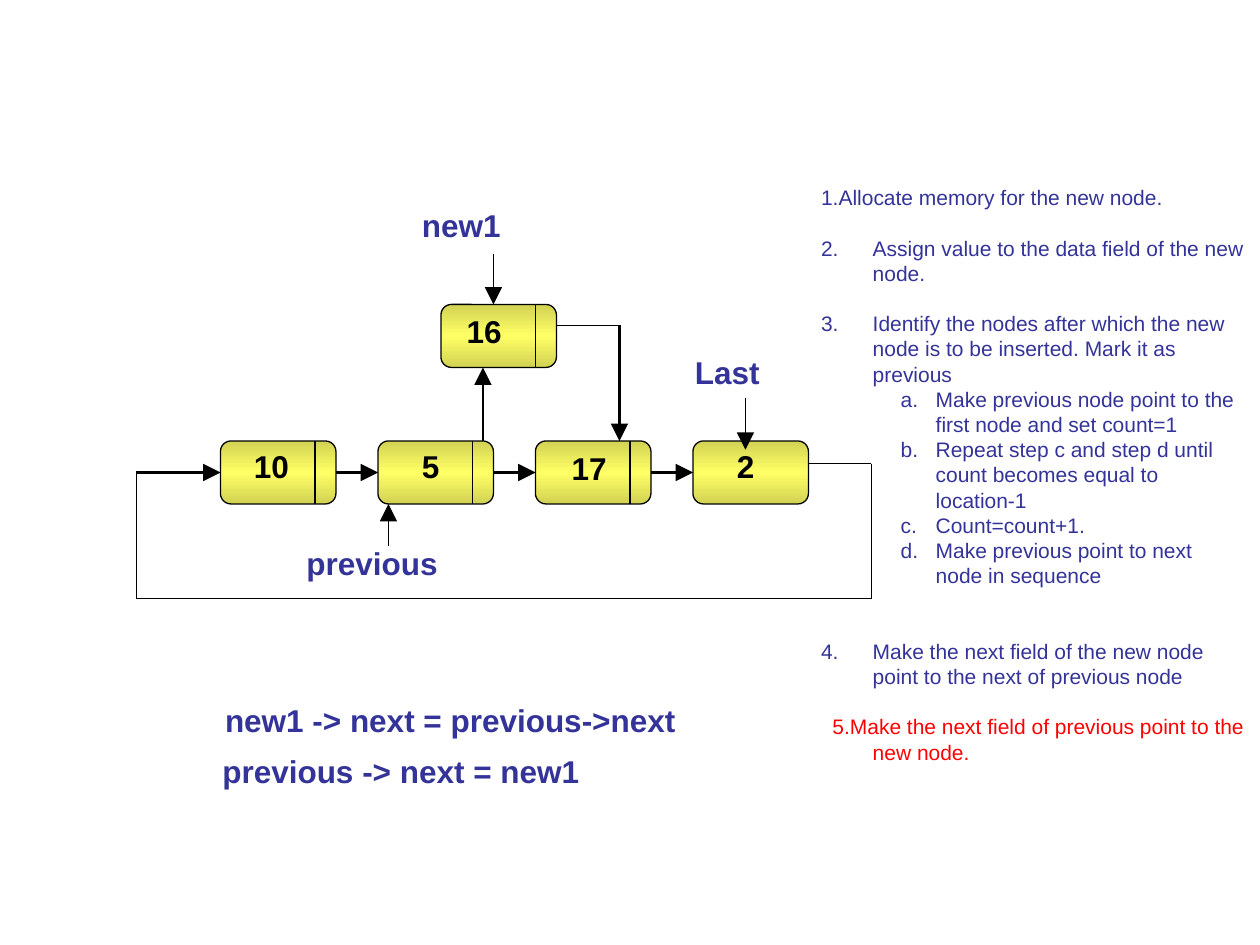
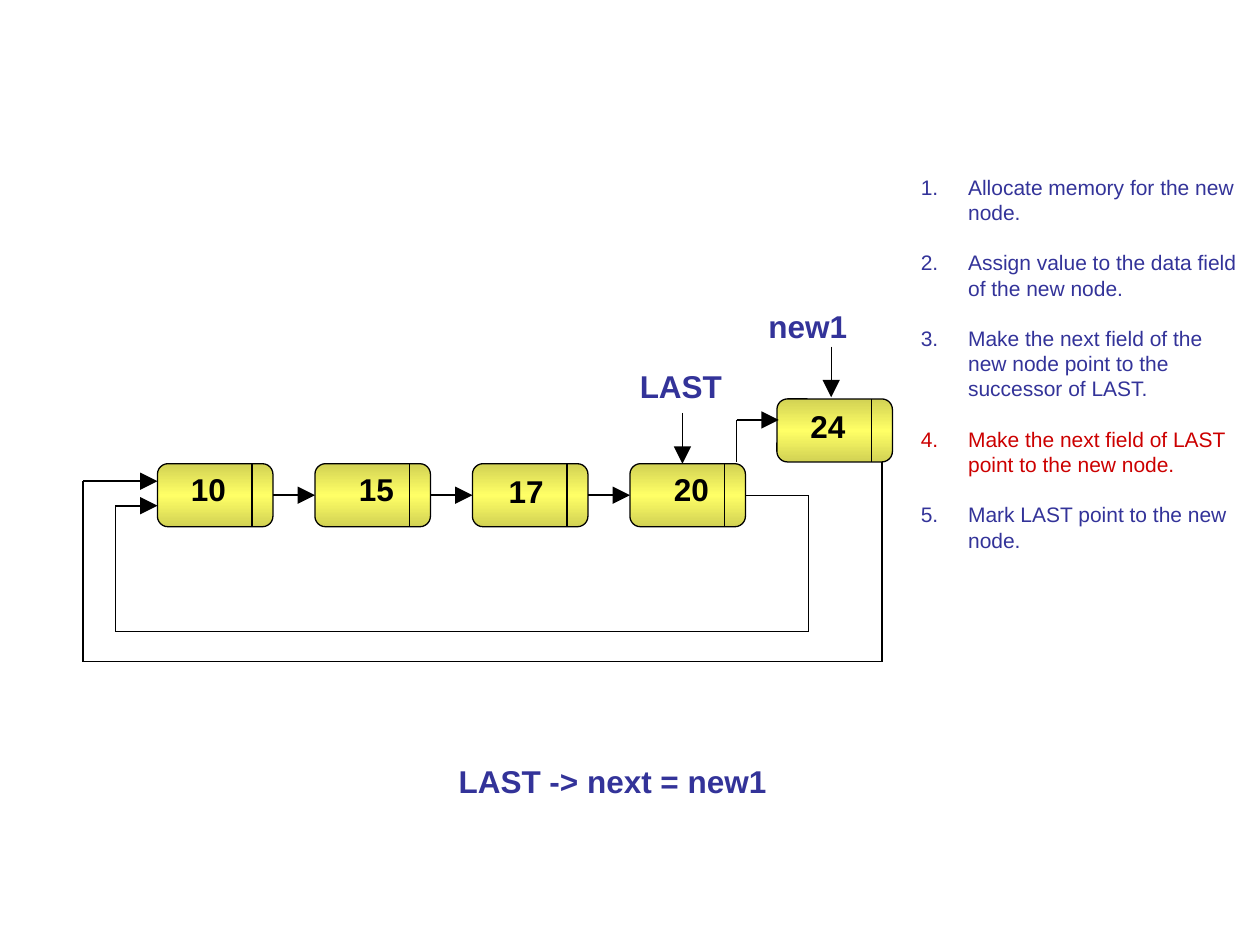
from copy import deepcopy
from dataclasses import dataclass
from itertools import pairwise

from lxml.etree import SubElement
from pptx import Presentation
from pptx.dml.color import RGBColor
from pptx.enum.shapes import MSO_CONNECTOR, MSO_SHAPE
from pptx.enum.text import MSO_AUTO_SIZE
from pptx.oxml.ns import qn
from pptx.slide import Slide
from pptx.text.text import _Paragraph as Paragraph
from pptx.util import Pt

COLORS = {
    "ink": "000000",
    "text": "333399",
    "red": "FF0000",
    "dark red": "CC0000",
    "node edge": "D2D254",
    "node middle": "FFFF66",
}
FONT = "Arial"
LABEL_SIZE, STEP_SIZE = 18, 12
LINE_FACTOR = 1.2
NODE_WIDTH, NODE_HEIGHT, NODE_PITCH = 66, 36, 90
DIVIDER_OFFSET = 54
VALUE_WIDTH = 40
LABEL_HEIGHT = 28.8
THIN, MEDIUM, BOLD = 0.75, 1, 1.25


@dataclass(frozen=True)
class Node:
    value: str
    value_dx: float
    value_dy: float = 0
    divided: bool = True


@dataclass(frozen=True)
class Label:
    text: str
    left: float
    top: float
    width: float
    color: str = "text"


@dataclass(frozen=True)
class Wire:
    points: tuple[tuple[float, float], ...]
    weight: float = THIN
    arrow: bool = False


@dataclass(frozen=True)
class Step:
    text: str
    lines_before: int = 1
    color: str = "text"
    margin: float = 29.5
    hanging: float = 29.5
    right_margin: float = 0
    level: int = 0
    numbered: bool = False


def substep(text: str) -> Step:
    return Step(text, lines_before=0, margin=65.5, hanging=20, right_margin=5, level=1)


def numbered(text: str, color: str = "text") -> Step:
    return Step(text, color=color, margin=27, hanging=27, numbered=True)


def rgb(name: str) -> RGBColor:
    return RGBColor.from_string(COLORS[name])


def write(paragraph: Paragraph, text: str, size: float, color: str, bold: bool = False) -> None:
    paragraph.line_spacing = Pt(size * LINE_FACTOR)
    run = paragraph.add_run()
    run.text = text
    run.font.name = FONT
    run.font.size = Pt(size)
    run.font.bold = bold
    run.font.color.rgb = rgb(color)


def draw_label(slide: Slide, label: Label) -> None:
    box = slide.shapes.add_textbox(
        Pt(label.left), Pt(label.top), Pt(label.width), Pt(LABEL_HEIGHT)
    )
    frame = box.text_frame
    frame.word_wrap = True
    frame.auto_size = MSO_AUTO_SIZE.NONE
    write(frame.paragraphs[0], label.text, LABEL_SIZE, label.color, bold=True)


def draw_wire(slide: Slide, wire: Wire) -> None:
    """Join the points with straight segments; an arrowhead goes on the last."""
    for start, end in pairwise(wire.points):
        segment = slide.shapes.add_connector(
            MSO_CONNECTOR.STRAIGHT, *(Pt(length) for length in (*start, *end))
        )
        segment.line.color.rgb = rgb("ink")
        segment.line.width = Pt(wire.weight)
        properties = segment._element.spPr
        if wire.arrow and end == wire.points[-1]:
            outline = properties.find(qn("a:ln"))
            SubElement(outline, qn("a:tailEnd"), type="triangle", w="lg", len="lg")
        SubElement(properties, qn("a:effectLst"))


def draw_node(slide: Slide, node: Node, left: float, top: float) -> None:
    body = slide.shapes.add_shape(
        MSO_SHAPE.ROUNDED_RECTANGLE, Pt(left), Pt(top), Pt(NODE_WIDTH), Pt(NODE_HEIGHT)
    )
    body.shadow.inherit = False
    body.line.color.rgb = rgb("ink")
    body.line.width = Pt(THIN)
    body.fill.gradient()
    body.fill.gradient_angle = 90
    stops = body._element.spPr.find(qn("a:gradFill")).find(qn("a:gsLst"))
    stops.insert(1, deepcopy(stops[0]))
    shades = ((0, "node edge"), (0.5, "node middle"), (1, "node edge"))
    for stop, (position, color) in zip(body.fill.gradient_stops, shades):
        stop.position = position
        stop.color.rgb = rgb(color)
    if node.divided:
        divider = left + DIVIDER_OFFSET
        draw_wire(slide, Wire(((divider, top), (divider, top + NODE_HEIGHT))))
    draw_label(
        slide,
        Label(node.value, left + node.value_dx, top + node.value_dy, VALUE_WIDTH, "ink"),
    )


def draw_chain(slide: Slide, nodes: tuple[Node, ...], left: float, top: float) -> None:
    """Draw a row of nodes, each pointing to the next."""
    middle = top + NODE_HEIGHT / 2
    for index, node in enumerate(nodes):
        x = left + index * NODE_PITCH
        draw_node(slide, node, x, top)
        if index:
            gap_start = x - NODE_PITCH + NODE_WIDTH
            draw_wire(slide, Wire(((gap_start, middle), (x, middle)), BOLD, arrow=True))


def fill_steps(
    slide: Slide, steps: tuple[Step, ...], left: float, top: float, width: float, height: float
) -> None:
    body = slide.placeholders[1]
    body.left, body.top, body.width, body.height = (
        Pt(length) for length in (left, top, width, height)
    )
    frame = body.text_frame
    frame.word_wrap = True
    frame.auto_size = MSO_AUTO_SIZE.NONE
    for index, step in enumerate(steps):
        paragraph = frame.add_paragraph() if index else frame.paragraphs[0]
        paragraph.level = step.level
        lines_before = step.lines_before if index else 0
        paragraph.space_before = Pt(lines_before * STEP_SIZE * LINE_FACTOR)
        paragraph.space_after = Pt(0)
        properties = paragraph._p.get_or_add_pPr()
        properties.set("marL", str(Pt(step.margin)))
        properties.set("marR", str(Pt(step.right_margin)))
        properties.set("indent", str(-Pt(step.hanging)))
        if step.numbered:
            bullet_color = SubElement(properties, qn("a:buClr"))
            SubElement(bullet_color, qn("a:srgbClr"), val=COLORS[step.color])
            SubElement(properties, qn("a:buFont"), typeface=FONT)
            SubElement(properties, qn("a:buAutoNum"), type="arabicPeriod")
        else:
            SubElement(properties, qn("a:buNone"))
        write(paragraph, step.text, STEP_SIZE, step.color)


def add_list_slide(deck: Presentation) -> Slide:
    """Add a slide that keeps only the body placeholder of its layout."""
    slide = deck.slides.add_slide(deck.slide_layouts[1])
    title = slide.shapes.title._element
    title.getparent().remove(title)
    return slide


def draw_parts(slide: Slide, wires: tuple[Wire, ...], labels: tuple[Label, ...]) -> None:
    for wire in wires:
        draw_wire(slide, wire)
    for label in labels:
        draw_label(slide, label)


def build_insert_between(deck: Presentation) -> None:
    slide = add_list_slide(deck)
    chain = (
        Node("10", 12),
        Node("5", 18),
        Node("17", 13.5, 1),
        Node("2", 18, divided=False),
    )
    draw_chain(slide, chain, 126, 252)
    draw_node(slide, Node("16", 7.5, 1), 252, 174)
    wires = (
        Wire(((282, 145), (282, 174)), arrow=True),
        Wire(((318, 186), (354, 186)), MEDIUM),
        Wire(((354, 186), (354, 252)), BOLD, arrow=True),
        Wire(((276, 252), (276, 210)), BOLD, arrow=True),
        Wire(((222, 312), (222, 288)), arrow=True),
        Wire(((426, 227.5), (426, 257)), arrow=True),
        Wire(((462, 265), (498, 265), (498, 342), (78, 342), (78, 270))),
        Wire(((78, 270), (126, 270)), BOLD, arrow=True),
    )
    labels = (
        Label("new1", 234, 114, 68),
        Label("Last", 390, 198, 60),
        Label("previous", 168, 307.5, 98),
        Label("new1 -> next = previous->next", 121.5, 397, 284),
        Label("previous -> next = new1", 120, 426, 230),
    )
    draw_parts(slide, wires, labels)
    steps = (
        Step("1.Allocate memory for the new node."),
        Step("2.\tAssign value to the data field of the new node."),
        Step(
            "3.\tIdentify the nodes after which the new node is to be inserted. "
            "Mark it as previous"
        ),
        substep("a.\tMake previous node point to the first node and set count=1"),
        substep("b.\tRepeat step c and step d until count becomes equal to location-1"),
        substep("c.\tCount=count+1."),
        substep("d.\tMake previous point to next node in sequence"),
        Step(
            "4.\tMake the next field of the new node point to the next of previous node",
            lines_before=2,
        ),
        Step(
            "5.Make the next field of previous point to the new node.",
            color="red",
            hanging=23,
        ),
    )
    fill_steps(slide, steps, 462, 102, 258, 353)


def build_insert_at_end(deck: Presentation) -> None:
    slide = add_list_slide(deck)
    chain = (Node("10", 12), Node("15", 18), Node("17", 13.5, 1), Node("20", 18))
    draw_chain(slide, chain, 90, 265)
    draw_node(slide, Node("24", 12, 1), 444, 228)
    wires = (
        Wire(((475, 198), (475, 227)), arrow=True),
        Wire(((390, 236), (390, 265)), arrow=True),
        Wire(((421, 264), (421, 240))),
        Wire(((421, 240), (445, 240)), BOLD, arrow=True),
        Wire(((426, 283), (462, 283), (462, 361), (66, 361), (66, 289))),
        Wire(((66, 289), (90, 289)), BOLD, arrow=True),
        Wire(((504, 264), (504, 378), (47.5, 378), (47.5, 275))),
        Wire(((47.5, 275), (90, 275)), BOLD, arrow=True),
    )
    labels = (
        Label("new1", 432, 172, 68),
        Label("LAST", 358.5, 206, 70),
        Label("LAST -> next = new1", 255, 432, 202),
    )
    draw_parts(slide, wires, labels)
    steps = (
        numbered("Allocate memory for the new node."),
        numbered("Assign value to the data field of the new node."),
        numbered("Make the next field of the new node point to the successor of LAST."),
        numbered("Make the next field of LAST point to the new node.", "dark red"),
        numbered("Mark LAST point to the new node."),
    )
    fill_steps(slide, steps, 519, 96, 198, 223)


def main() -> None:
    deck = Presentation()
    deck.slide_width, deck.slide_height = Pt(720), Pt(540)
    build_insert_between(deck)
    build_insert_at_end(deck)
    deck.save("out.pptx")


if __name__ == "__main__":
    main()
